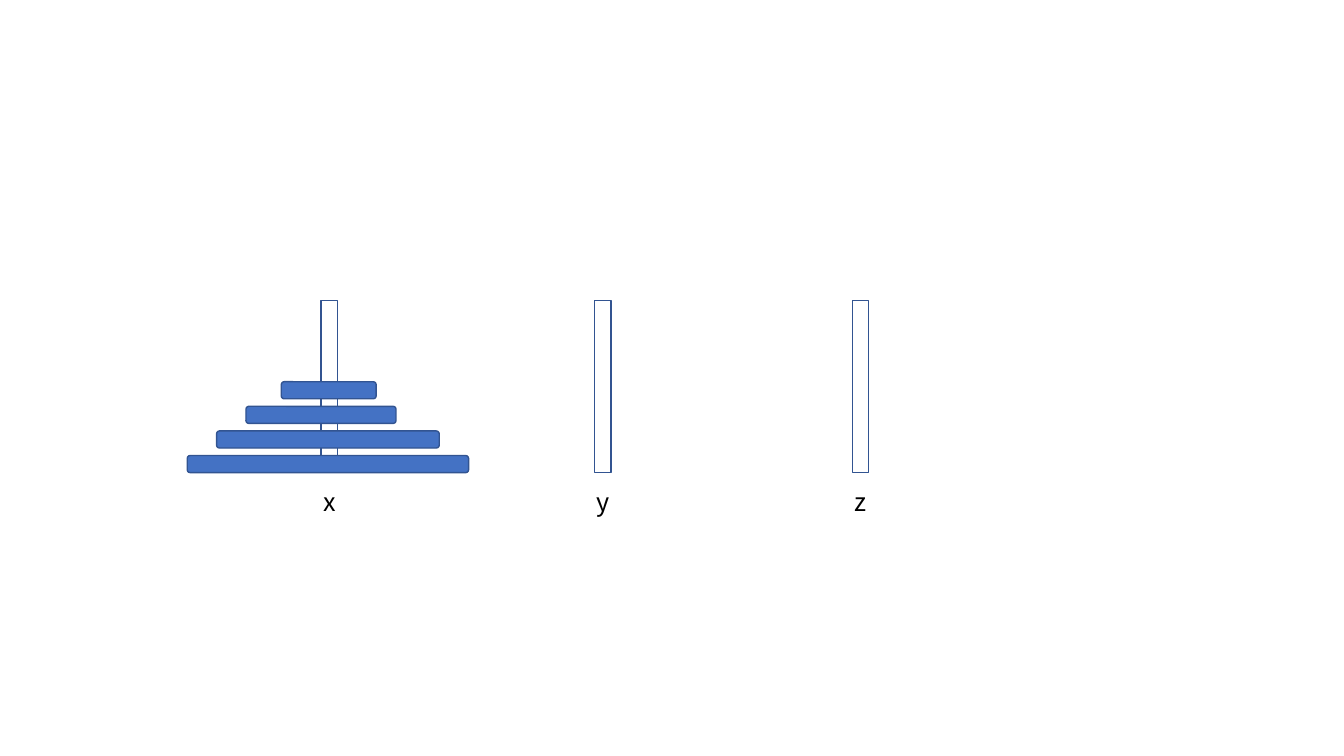
from pptx import Presentation
from pptx.dml.color import RGBColor
from pptx.enum.shapes import MSO_SHAPE as Preset
from pptx.enum.text import MSO_AUTO_SIZE as AutoSize, PP_ALIGN as Align
from pptx.util import Cm, Pt

COLORS = {"disk": "4472C4", "outline": "325491", "label": "000000"}
FONT = "Noto Sans CJK SC"

PEGS = [("x", 8.3), ("y", 15.19), ("z", 21.69)]
PEG_TOP, PEG_WIDTH, PEG_HEIGHT = 7.57, 0.41, 4.34
DISKS = [(4.72, 7.09), (5.46, 5.61), (6.2, 3.78), (7.09, 2.39)]
BOTTOM_DISK_TOP, DISK_STEP, DISK_HEIGHT = 11.48, 0.62, 0.43
LABEL_TOP, LABEL_WIDTH, LABEL_HEIGHT = 12.12, 0.8, 1.02


def color(name):
    return RGBColor.from_string(COLORS[name])


def add_outlined(slide, preset, left, top, width, height):
    shape = slide.shapes.add_shape(preset, Cm(left), Cm(top), Cm(width), Cm(height))
    shape.shadow.inherit = False
    shape.line.color.rgb = color("outline")
    shape.line.width = Pt(1)
    return shape


def add_peg(slide, center):
    peg = add_outlined(slide, Preset.RECTANGLE, center - PEG_WIDTH / 2, PEG_TOP,
                       PEG_WIDTH, PEG_HEIGHT)
    peg.fill.background()


def add_disk(slide, left, top, width):
    disk = add_outlined(slide, Preset.ROUNDED_RECTANGLE, left, top, width, DISK_HEIGHT)
    disk.fill.solid()
    disk.fill.fore_color.rgb = color("disk")


def add_label(slide, text, center):
    box = slide.shapes.add_textbox(Cm(center - LABEL_WIDTH / 2), Cm(LABEL_TOP),
                                   Cm(LABEL_WIDTH), Cm(LABEL_HEIGHT))
    frame = box.text_frame
    frame.word_wrap = False
    frame.auto_size = AutoSize.SHAPE_TO_FIT_TEXT
    paragraph = frame.paragraphs[0]
    paragraph.alignment = Align.LEFT
    run = paragraph.add_run()
    run.text = text
    run.font.name = FONT
    run.font.size = Pt(18)
    run.font.color.rgb = color("label")


def main():
    presentation = Presentation()
    presentation.slide_width = Cm(33.87)
    presentation.slide_height = Cm(19.05)
    slide = presentation.slides.add_slide(presentation.slide_layouts[6])

    for name, center in PEGS:
        add_peg(slide, center)
    for level, (left, width) in enumerate(DISKS):
        add_disk(slide, left, BOTTOM_DISK_TOP - level * DISK_STEP, width)
    for name, center in PEGS:
        add_label(slide, name, center)

    presentation.save("out.pptx")


main()
